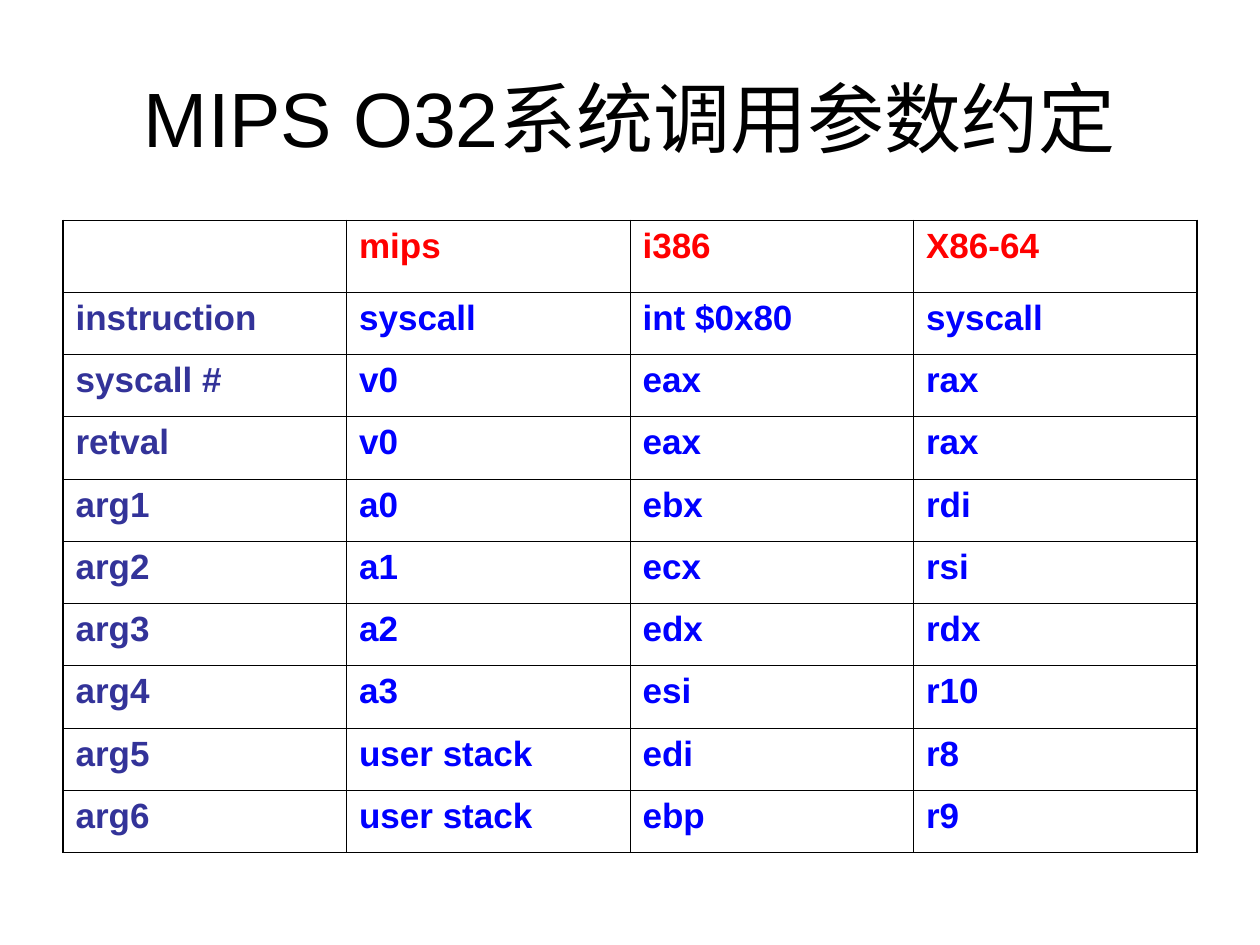
from lxml import etree
from pptx import Presentation
from pptx.dml.color import RGBColor
from pptx.enum.text import MSO_ANCHOR, PP_ALIGN
from pptx.oxml.ns import qn
from pptx.util import Inches, Pt

CENTER, LEFT = PP_ALIGN.CENTER, PP_ALIGN.LEFT
MIDDLE = MSO_ANCHOR.MIDDLE

FONT = "Arial"
BLACK, RED, INDIGO, BLUE = "000000", "FF0000", "333399", "0000FF"
THIN, THICK = 0.45, 1.08

TITLE = "MIPS O32系统调用参数约定"
ROWS = [
    ("", "mips", "i386", "X86-64"),
    ("instruction", "syscall", "int $0x80", "syscall"),
    ("syscall #", "v0", "eax", "rax"),
    ("retval", "v0", "eax", "rax"),
    ("arg1", "a0", "ebx", "rdi"),
    ("arg2", "a1", "ecx", "rsi"),
    ("arg3", "a2", "edx", "rdx"),
    ("arg4", "a3", "esi", "r10"),
    ("arg5", "user stack", "edi", "r8"),
    ("arg6", "user stack", "ebp", "r9"),
]
LEFT_X, TOP_Y, WIDTH, HEIGHT = 0.5, 1.75, 9, 5.02
HEADER_H = 0.57


def rgb(color):
    return RGBColor.from_string(color)


def write(tf, text, size, color, bold=False, align=LEFT, before=0):
    p = tf.paragraphs[0]
    p.alignment = align
    p.space_before = Pt(before)
    if not text:
        p.font.size = Pt(size)
        return
    r = p.add_run()
    r.text = text
    r.font.name = FONT
    r.font.size = Pt(size)
    r.font.bold = bold
    r.font.color.rgb = rgb(color)


def set_borders(cell, **widths):
    tcPr = cell._tc.get_or_add_tcPr()
    for side, width in widths.items():
        ln = etree.SubElement(tcPr, qn(f"a:ln{side}"), w=str(Pt(width)))
        fill = etree.SubElement(ln, qn("a:solidFill"))
        etree.SubElement(fill, qn("a:srgbClr"), val=BLACK)


def add_title(slide):
    sp = slide.shapes.add_textbox(Inches(0.5), Inches(0.3), Inches(9), Inches(1.25))
    tf = sp.text_frame
    tf.word_wrap = True
    tf.vertical_anchor = MIDDLE
    write(tf, TITLE, 44, BLACK, align=CENTER)


def add_register_table(slide):
    n_rows, n_cols = len(ROWS), len(ROWS[0])
    table = slide.shapes.add_table(
        n_rows, n_cols, Inches(LEFT_X), Inches(TOP_Y), Inches(WIDTH), Inches(HEIGHT)
    ).table
    table.first_row = table.horz_banding = False
    row_h = (HEIGHT - HEADER_H) / (n_rows - 1)
    for col in table.columns:
        col.width = Inches(WIDTH / n_cols)
    for i, values in enumerate(ROWS):
        table.rows[i].height = Inches(row_h if i else HEADER_H)
        for j, value in enumerate(values):
            cell = table.cell(i, j)
            color = RED if i == 0 else INDIGO if j == 0 else BLUE
            write(cell.text_frame, value, 20, color, bold=True, before=5)
            set_borders(
                cell,
                L=THICK if j == 0 else THIN,
                R=THICK if j == n_cols - 1 else THIN,
                T=THICK if i == 0 else THIN,
                B=THICK if i == n_rows - 1 else THIN,
            )
            cell.fill.background()


def main():
    prs = Presentation()
    prs.slide_width, prs.slide_height = Inches(10), Inches(7.5)
    slide = prs.slides.add_slide(prs.slide_layouts[6])
    add_title(slide)
    add_register_table(slide)
    prs.save("out.pptx")


if __name__ == "__main__":
    main()
